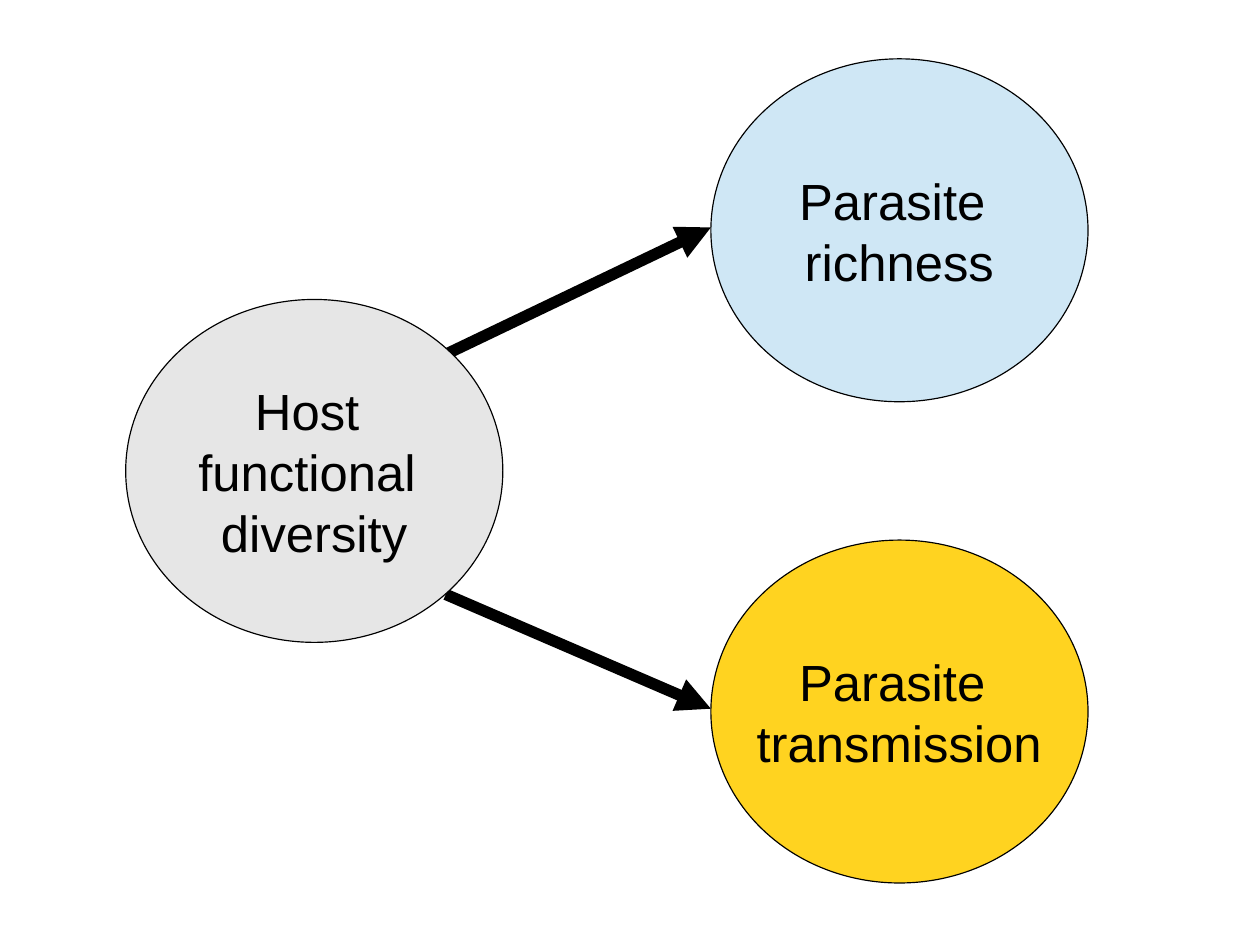
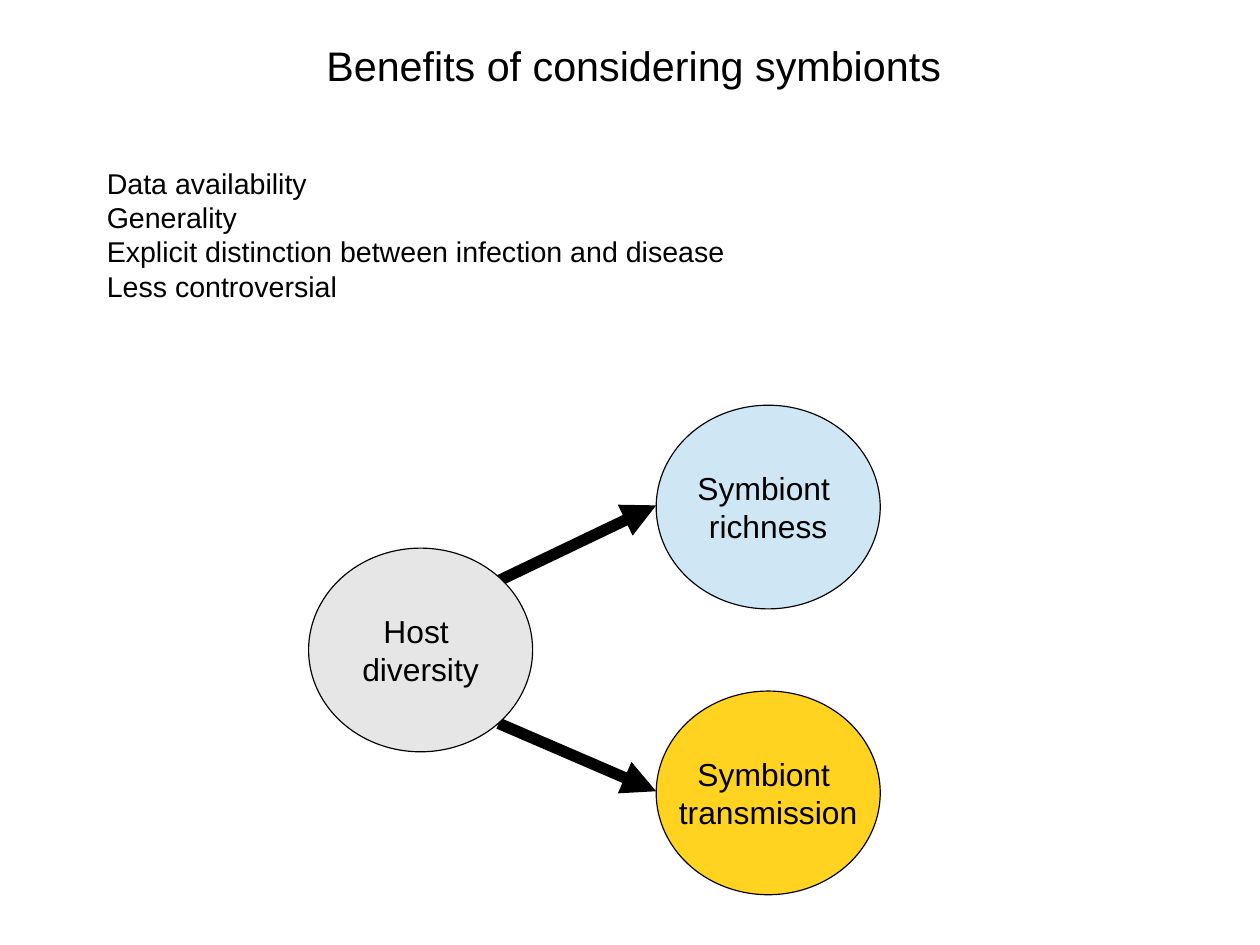
from dataclasses import dataclass

from lxml.etree import SubElement
from pptx import Presentation
from pptx.dml.color import RGBColor
from pptx.enum.shapes import MSO_CONNECTOR, MSO_SHAPE
from pptx.enum.text import MSO_ANCHOR, PP_ALIGN
from pptx.oxml.ns import qn
from pptx.util import Pt

STRAIGHT = MSO_CONNECTOR.STRAIGHT
OVAL = MSO_SHAPE.OVAL
MIDDLE = MSO_ANCHOR.MIDDLE
LEFT, CENTER = PP_ALIGN.LEFT, PP_ALIGN.CENTER


@dataclass(frozen=True)
class Theme:
    font: str = "Arial"
    bullet_font: str = "Wingdings"
    ink: RGBColor = RGBColor(0x00, 0x00, 0x00)
    host: RGBColor = RGBColor(0xE6, 0xE6, 0xE6)
    richness: RGBColor = RGBColor(0xCF, 0xE7, 0xF5)
    transmission: RGBColor = RGBColor(0xFF, 0xD3, 0x20)
    title_size: float = 26
    body_size: float = 18
    large_label: float = 32
    small_label: float = 20
    outline: float = 0.75
    arrow: float = 7.2


THEME = Theme()
SLIDE_WIDTH, SLIDE_HEIGHT = 793.75, 595.25
OVAL_WIDTH, OVAL_HEIGHT = 237.6, 216
COLUMN_STEP, ROW_STEP = 368.64, 151.56
ARROW_START_X = 201.6
UPPER_START_Y, LOWER_START_Y = 34.56, 185.76
ARROW_END_Y = 106.2
BULLET = "·"
BULLET_INDENT = 17


def write_lines(frame, lines, size, alignment):
    for index, line in enumerate(lines):
        para = frame.add_paragraph() if index else frame.paragraphs[0]
        para.text = line
        para.alignment = alignment
        para.font.name = THEME.font
        para.font.size = Pt(size)
        para.font.color.rgb = THEME.ink


def add_text(page, left, top, width, height, lines, size, alignment=LEFT):
    box = page.shapes.add_textbox(Pt(left), Pt(top), Pt(width), Pt(height))
    box.text_frame.word_wrap = True
    write_lines(box.text_frame, lines, size, alignment)
    return box


def add_bullets(box):
    for para in box.text_frame.paragraphs:
        properties = para._p.get_or_add_pPr()
        properties.set("marL", str(Pt(BULLET_INDENT)))
        properties.set("indent", str(-Pt(BULLET_INDENT)))
        font_run = properties.find(qn("a:defRPr"))
        marks = [
            SubElement(properties, qn("a:buSzPct"), val="45000"),
            SubElement(properties, qn("a:buFont"),
                       typeface=THEME.bullet_font, charset="2"),
            SubElement(properties, qn("a:buChar"), char=BULLET),
        ]
        for mark in marks:
            font_run.addprevious(mark)


def add_arrow(page, start, end):
    arrow = page.shapes.add_connector(STRAIGHT, *map(Pt, start + end))
    arrow.line.color.rgb = THEME.ink
    arrow.line.width = Pt(THEME.arrow)
    SubElement(arrow.line._get_or_add_ln(), qn("a:tailEnd"), type="triangle")
    SubElement(arrow._element.spPr, qn("a:effectLst"))


def add_oval(page, left, top, scale, fill, lines, size):
    oval = page.shapes.add_shape(
        OVAL, Pt(left), Pt(top), Pt(OVAL_WIDTH * scale), Pt(OVAL_HEIGHT * scale))
    oval.shadow.inherit = False
    oval.fill.solid()
    oval.fill.fore_color.rgb = fill
    oval.line.color.rgb = THEME.ink
    oval.line.width = Pt(THEME.outline)
    oval.text_frame.word_wrap = False
    oval.text_frame.vertical_anchor = MIDDLE
    write_lines(oval.text_frame, lines, size, CENTER)


def add_diagram(page, left, top, scale, size, host_lines, partner):
    right = left + COLUMN_STEP * scale
    upper, lower = top - ROW_STEP * scale, top + ROW_STEP * scale
    for start_y, target in ((UPPER_START_Y, upper), (LOWER_START_Y, lower)):
        add_arrow(page,
                  (left + ARROW_START_X * scale, top + start_y * scale),
                  (right, target + ARROW_END_Y * scale))
    add_oval(page, left, top, scale, THEME.host, host_lines, size)
    add_oval(page, right, upper, scale, THEME.richness,
             [f"{partner} ", "richness"], size)
    add_oval(page, right, lower, scale, THEME.transmission,
             [f"{partner} ", "transmission"], size)


def build_parasites(page):
    add_diagram(page, 79.2, 188.64, 1, THEME.large_label,
                ["Host ", "functional ", "diversity"], "Parasite")


def build_symbionts(page):
    add_text(page, 50.4, 21.6, 705.6, 39.6,
             ["Benefits of considering symbionts "], THEME.title_size, CENTER)
    benefits = add_text(page, 43.2, 100.8, 698.4, 96.48, [
        "Data availability",
        "Generality",
        "Explicit distinction between infection and disease",
        "Less controversial",
    ], THEME.body_size)
    add_bullets(benefits)
    add_diagram(page, 194.4, 345.3, 0.594, THEME.small_label,
                ["Host ", "diversity"], "Symbiont")


def main():
    deck = Presentation()
    deck.slide_width, deck.slide_height = Pt(SLIDE_WIDTH), Pt(SLIDE_HEIGHT)
    blank = deck.slide_layouts[6]
    for build in (build_parasites, build_symbionts):
        build(deck.slides.add_slide(blank))
    deck.save("out.pptx")


if __name__ == "__main__":
    main()
